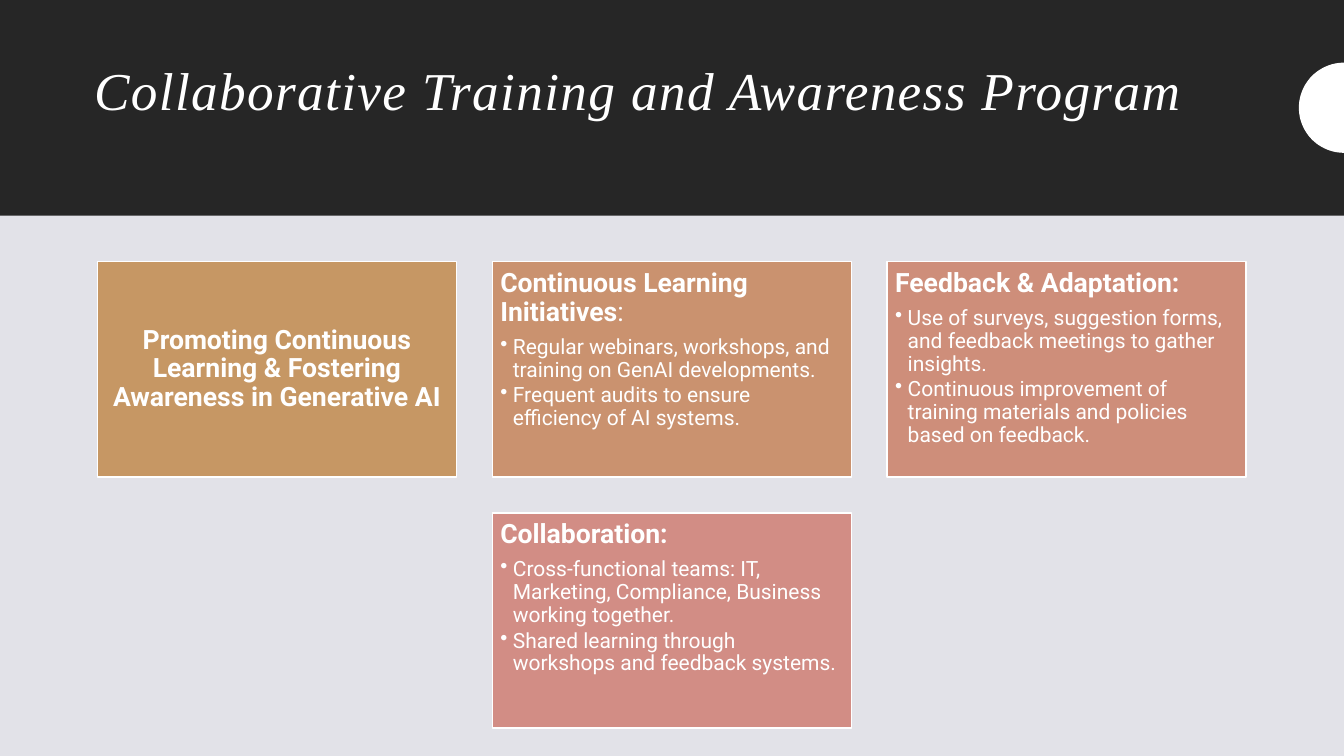
import math

from lxml import etree
from pptx import Presentation
from pptx.dml.color import RGBColor
from pptx.enum.shapes import MSO_SHAPE
from pptx.enum.text import MSO_ANCHOR, PP_ALIGN
from pptx.oxml.ns import qn
from pptx.util import Pt

RECTANGLE = MSO_SHAPE.RECTANGLE
TOP, MIDDLE = MSO_ANCHOR.TOP, MSO_ANCHOR.MIDDLE
LEFT, CENTER = PP_ALIGN.LEFT, PP_ALIGN.CENTER

WHITE = RGBColor(0xFF, 0xFF, 0xFF)
CHARCOAL = RGBColor(0x26, 0x26, 0x26)
LAVENDER = RGBColor(0xE2, 0xE2, 0xE8)
OCHRE = RGBColor(0xC6, 0x97, 0x64)
COPPER = RGBColor(0xCA, 0x92, 0x6F)
CORAL = RGBColor(0xCE, 0x8E, 0x7A)
ROSE = RGBColor(0xD2, 0x8D, 0x85)

SLIDE_WIDTH, SLIDE_HEIGHT = 960, 540
CARD_LEFT, CARD_TOP = 69.6, 186.8
CARD_WIDTH, CARD_HEIGHT = 256.4, 153.84
CARD_GAP = 25.64
CARD_INSET = 5.7
BULLET_INDENT = 9
CIRCLE_CENTER, CIRCLE_RADIUS = 77, 32.2
CIRCLE_STEPS = 48


def write_paragraph(paragraph, text, size, font="Roboto", bold=False, italic=False,
                    align=LEFT, space_after=0, bullet=False):
    if bullet:
        properties = paragraph._p.get_or_add_pPr()
        properties.set("marL", str(Pt(BULLET_INDENT)))
        properties.set("indent", str(Pt(-BULLET_INDENT)))
        etree.SubElement(properties, qn("a:buChar")).set("char", "•")
    paragraph.alignment = align
    paragraph.line_spacing = 0.9
    paragraph.space_before = Pt(0)
    paragraph.space_after = Pt(space_after)
    run = paragraph.add_run()
    run.text = text
    run.font.name = font
    run.font.size = Pt(size)
    run.font.bold = bold
    run.font.italic = italic
    run.font.color.rgb = WHITE
    return run


presentation = Presentation()
presentation.slide_width = Pt(SLIDE_WIDTH)
presentation.slide_height = Pt(SLIDE_HEIGHT)
slide = presentation.slides.add_slide(presentation.slide_layouts[5])
slide.background.fill.solid()
slide.background.fill.fore_color.rgb = LAVENDER

title = slide.shapes.title
title.left, title.top, title.width, title.height = Pt(60), Pt(33), Pt(840), Pt(104.4)
title.text_frame.word_wrap = True
title.text_frame.vertical_anchor = TOP
title.text_frame.margin_top = Pt(13)
title_run = write_paragraph(title.text_frame.paragraphs[0],
                            "Collaborative Training and Awareness Program",
                            38, font="Times New Roman", italic=True)
title_run.font._element.set("spc", "100")

header = slide.shapes.add_shape(RECTANGLE, 0, 0, Pt(SLIDE_WIDTH), Pt(154))
header.shadow.inherit = False
header.fill.solid()
header.fill.fore_color.rgb = CHARCOAL
header.line.fill.background()
title.element.addprevious(header.element)

arc = []
for step in range(CIRCLE_STEPS + 1):
    angle = math.pi * step / CIRCLE_STEPS
    arc.append((Pt(SLIDE_WIDTH - CIRCLE_RADIUS * math.sin(angle)),
                Pt(CIRCLE_CENTER - CIRCLE_RADIUS * math.cos(angle))))
builder = slide.shapes.build_freeform(*arc[0])
builder.add_line_segments(arc[1:], close=True)
half_circle = builder.convert_to_shape()
half_circle.shadow.inherit = False
half_circle.fill.solid()
half_circle.fill.fore_color.rgb = WHITE
half_circle.line.fill.background()

cards = [
    (0, 0, OCHRE, "Promoting Continuous Learning & Fostering Awareness in Generative AI", "", []),
    (1, 0, COPPER, "Continuous Learning Initiatives", ":",
     ["Regular webinars, workshops, and training on GenAI developments.",
      "Frequent audits to ensure efficiency of AI systems."]),
    (2, 0, CORAL, "Feedback & Adaptation:", "",
     ["Use of surveys, suggestion forms, and feedback meetings to gather insights.",
      "Continuous improvement of training materials and policies based on feedback."]),
    (1, 1, ROSE, "Collaboration:", "",
     ["Cross-functional teams: IT, Marketing, Compliance, Business working together.",
      "Shared learning through workshops and feedback systems."]),
]

for column, row, color, heading, light_suffix, bullets in cards:
    card = slide.shapes.add_shape(
        RECTANGLE,
        Pt(CARD_LEFT + column * (CARD_WIDTH + CARD_GAP)),
        Pt(CARD_TOP + row * (CARD_HEIGHT + CARD_GAP)),
        Pt(CARD_WIDTH), Pt(CARD_HEIGHT))
    card.shadow.inherit = False
    card.fill.solid()
    card.fill.fore_color.rgb = color
    card.line.color.rgb = WHITE
    card.line.width = Pt(1)

    frame = card.text_frame
    frame.word_wrap = True
    frame.margin_left = frame.margin_right = Pt(CARD_INSET)
    frame.margin_top = frame.margin_bottom = Pt(CARD_INSET)
    frame.vertical_anchor = TOP if bullets else MIDDLE
    write_paragraph(frame.paragraphs[0], heading, 19, bold=True,
                    align=LEFT if bullets else CENTER, space_after=6.65)
    if light_suffix:
        write_paragraph(frame.paragraphs[0], light_suffix, 19, space_after=6.65)
    for bullet_text in bullets:
        write_paragraph(frame.add_paragraph(), bullet_text, 15,
                        space_after=2.25, bullet=True)

presentation.save("out.pptx")
